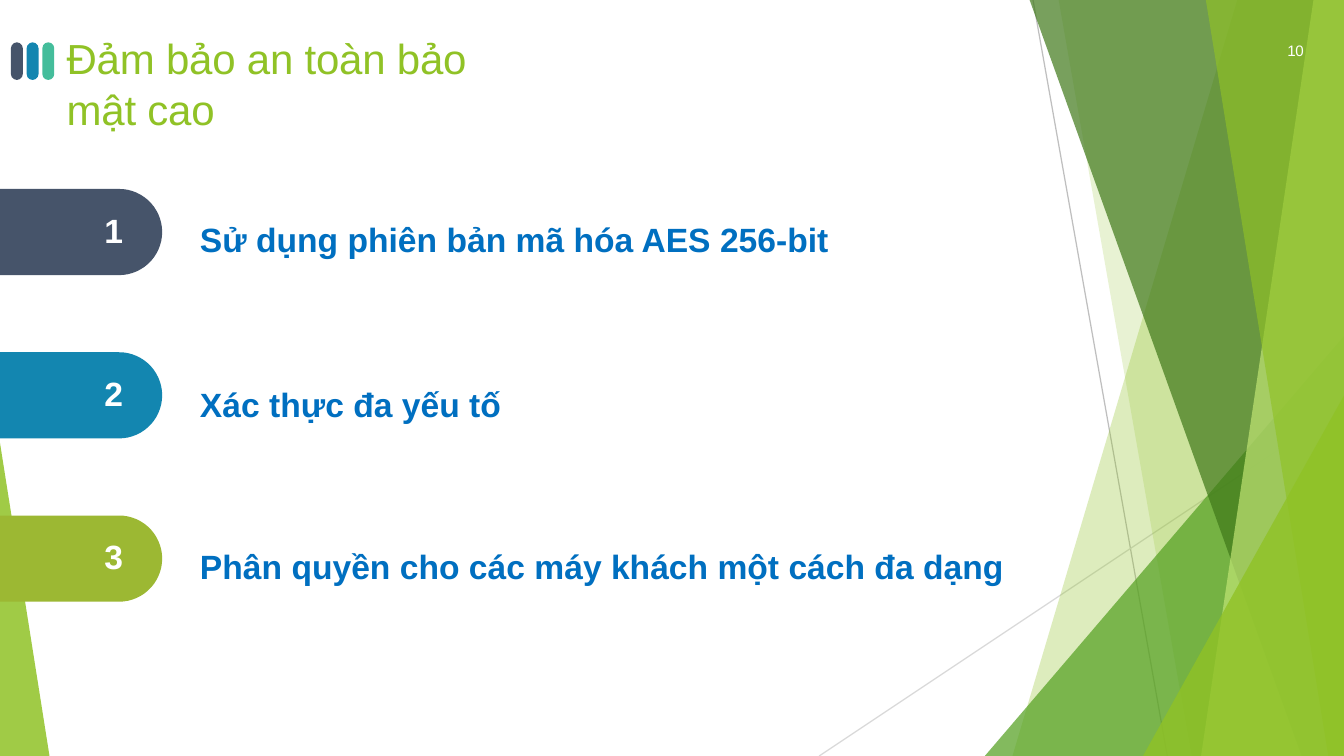
import math
from dataclasses import dataclass

import lxml.etree
import pptx
import pptx.dml.color
import pptx.enum.shapes
import pptx.enum.text
import pptx.oxml.ns
import pptx.util
from pptx.util import Cm

WIDTH, HEIGHT = 28.22, 15.88


@dataclass(frozen=True)
class Theme:
    font: str = "Arial"
    lime: str = "90C226"
    pale_lime: str = "C0E474"
    green: str = "54A021"
    dark_green: str = "3F7819"
    navy: str = "46546A"
    blue: str = "1386B0"
    olive: str = "9CB833"
    mint: str = "44BD9B"
    white: str = "FFFFFF"
    label: str = "006FC0"
    steep_line: str = "BFBFBF"
    flat_line: str = "D9D9D9"
    title_size: int = 25
    body_size: int = 20
    page_size: int = 9


THEME = Theme()


def rgb(color):
    return pptx.dml.color.RGBColor.from_string(color)


def add_element(parent, tag, **attributes):
    lxml.etree.SubElement(parent, pptx.oxml.ns.qn(tag), **attributes)


def paint(shape, color, opacity=100):
    """Give a shape a flat fill (opacity in percent), no line and no shadow."""
    shape.shadow.inherit = False
    shape.line.fill.background()
    shape.fill.solid()
    shape.fill.fore_color.rgb = rgb(color)
    if opacity < 100:
        fill_color = shape._element.spPr.find(
            pptx.oxml.ns.qn("a:solidFill") + "/" + pptx.oxml.ns.qn("a:srgbClr"))
        add_element(fill_color, "a:alpha", val=str(opacity * 1000))


def add_polygon(slide, points, color, opacity=100):
    corners = [(Cm(x), Cm(y)) for x, y in points]
    builder = slide.shapes.build_freeform(*corners[0])
    builder.add_line_segments(corners[1:], close=True)
    paint(builder.convert_to_shape(), color, opacity)


def add_facet(slide, top_x, bottom_x, color, opacity):
    """Fill from a slanted left edge to the right edge of the slide."""
    points = [(top_x, 0), (WIDTH, 0), (WIDTH, HEIGHT), (bottom_x, HEIGHT)]
    add_polygon(slide, points, color, opacity)


def add_triangle(slide, left, top, width, apex, color, opacity):
    """Stand a triangle on the bottom edge; apex is 0 (left) to 1 (right)."""
    triangle = slide.shapes.add_shape(
        pptx.enum.shapes.MSO_SHAPE.ISOSCELES_TRIANGLE,
        Cm(left), Cm(top), Cm(width), Cm(HEIGHT - top))
    triangle.adjustments[0] = apex
    paint(triangle, color, opacity)


def add_line(slide, start, end, color):
    line = slide.shapes.add_connector(
        pptx.enum.shapes.MSO_CONNECTOR.STRAIGHT,
        *(Cm(value) for value in start + end))
    line.line.color.rgb = rgb(color)
    line.line.width = pptx.util.Pt(0.75)
    add_element(line._element.spPr, "a:effectLst")


def add_tab(slide, top, color):
    """Draw a tab from the left edge that ends in a half circle."""
    radius, center_x = 0.905, 2.5
    arc = [(center_x + radius * math.cos(math.radians(angle)),
            top + radius + radius * math.sin(math.radians(angle)))
           for angle in range(-90, 91, 6)]
    add_polygon(slide, [(0, top), *arc, (0, top + 2 * radius)], color)


def add_bar(slide, left, color):
    bar = slide.shapes.add_shape(
        pptx.enum.shapes.MSO_SHAPE.ROUNDED_RECTANGLE,
        Cm(left), Cm(0.89), Cm(0.25), Cm(0.79))
    bar.adjustments[0] = 0.5
    paint(bar, color)


def write(shape, text, size, color, bold=False, line_spacing=1.0, tracking=0):
    """Set one left-aligned paragraph; tracking is in hundredths of a point."""
    frame = shape.text_frame
    frame.text = text
    frame.word_wrap = True
    frame.auto_size = pptx.enum.text.MSO_AUTO_SIZE.NONE
    frame.vertical_anchor = pptx.enum.text.MSO_ANCHOR.TOP
    frame.margin_left = frame.margin_top = Cm(0.03)
    frame.margin_right = frame.margin_bottom = 0
    paragraph = frame.paragraphs[0]
    paragraph.alignment = pptx.enum.text.PP_ALIGN.LEFT
    paragraph.line_spacing = line_spacing
    paragraph.space_before = pptx.util.Pt(1)
    run = paragraph.runs[0]
    run.font.name = THEME.font
    run.font.size = pptx.util.Pt(size)
    run.font.bold = bold
    run.font.color.rgb = rgb(color)
    if tracking:
        run._r.get_or_add_rPr().set("spc", str(tracking))


def add_text(slide, left, top, width, height, *content, **style):
    box = slide.shapes.add_textbox(Cm(left), Cm(top), Cm(width), Cm(height))
    write(box, *content, **style)


def set_title(slide, text):
    title = slide.shapes.title
    title.left, title.top = Cm(1.37), Cm(0.66)
    title.width, title.height = Cm(9.07), Cm(2.16)
    write(title, text, THEME.title_size, THEME.lime, tracking=-10)


def add_backdrop(slide):
    add_line(slide, (21.69, 0), (24.51, HEIGHT), THEME.steep_line)
    add_line(slide, (WIDTH, 8.53), (17.2, HEIGHT), THEME.flat_line)
    add_facet(slide, 25.98, 21.26, THEME.lime, 30)
    add_facet(slide, 22.23, 25.02, THEME.lime, 20)
    add_triangle(slide, 20.68, 7.06, WIDTH - 20.68, 1, THEME.green, 72)
    add_facet(slide, 21.62, 27.33, THEME.dark_green, 70)
    add_facet(slide, 27.58, 25.22, THEME.pale_lime, 70)
    add_facet(slide, 25.32, 27.89, THEME.lime, 65)
    add_triangle(slide, 24, 8.31, WIDTH - 24, 1, THEME.lime, 80)
    add_triangle(slide, 0, 9.3, 1.04, 0, THEME.lime, 85)


def add_item(slide, number, color, label, label_top):
    top = 3.97 + 3.43 * (number - 1)
    add_tab(slide, top, color)
    add_text(slide, 2.16, top + 0.4, 0.46, 0.91, str(number),
             THEME.body_size, THEME.white, bold=True)
    add_text(slide, 4.17, label_top, 22.43, 1.17, label,
             THEME.body_size, THEME.label, bold=True, line_spacing=1.5)


def main():
    presentation = pptx.Presentation()
    presentation.slide_width, presentation.slide_height = Cm(WIDTH), Cm(HEIGHT)
    slide = presentation.slides.add_slide(presentation.slide_layouts[5])

    add_backdrop(slide)
    set_title(slide, "Đảm bảo an toàn bảo mật cao")
    for index, color in enumerate((THEME.navy, THEME.blue, THEME.mint)):
        add_bar(slide, 0.23 + 0.33 * index, color)
    add_text(slide, 27, 0.84, 0.43, 0.46, "10",
             THEME.page_size, THEME.white, tracking=-10)

    items = [
        (THEME.navy, "Sử dụng phiên bản mã hóa AES 256-bit", 4.14),
        (THEME.blue, "Xác thực đa yếu tố", 7.62),
        (THEME.olive, "Phân quyền cho các máy khách một cách đa dạng", 11.02),
    ]
    for number, item in enumerate(items, start=1):
        add_item(slide, number, *item)

    presentation.save("out.pptx")


if __name__ == "__main__":
    main()
